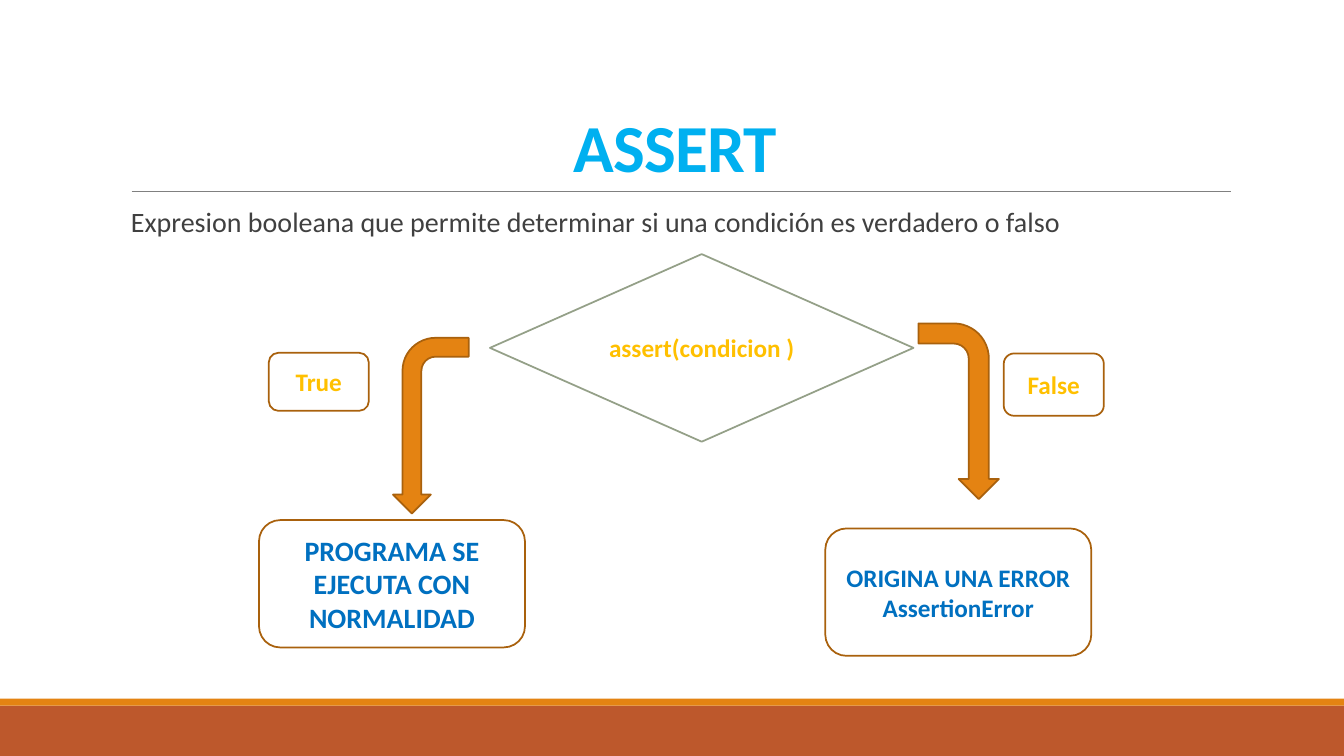
import pptx
import pptx.util
import pptx.dml.color
import pptx.enum.shapes
import pptx.enum.text
import pptx.oxml.ns
import lxml.etree

Pt = pptx.util.Pt
SHAPE = pptx.enum.shapes.MSO_SHAPE
ANCHOR = pptx.enum.text.MSO_ANCHOR
ALIGN = pptx.enum.text.PP_ALIGN

WIDTH, HEIGHT = 960, 540
ORANGE, BROWN = "E48312", "A9610D"
YELLOW, BLUE = "FFC000", "0070C0"

TITLE = "ASSERT"
DEFINITION = "Expresion booleana que permite determinar si una condición es verdadero o falso"
BANDS = [(504, 36, "BD582C"), (499, 5, ORANGE)]
BOXES = [
    ("assert(condicion )", SHAPE.FLOWCHART_DECISION, (350, 181.5, 302.5, 134), "94A088", 18, YELLOW),
    ("PROGRAMA SE EJECUTA CON NORMALIDAD", SHAPE.ROUNDED_RECTANGLE, (185, 371.5, 190, 91), BROWN, 20, BLUE),
    ("ORIGINA UNA ERROR AssertionError", SHAPE.ROUNDED_RECTANGLE, (589.5, 377.5, 190, 91), BROWN, 18, BLUE),
    ("True", SHAPE.ROUNDED_RECTANGLE, (192, 252, 71.5, 41.5), BROWN, 18, YELLOW),
    ("False", SHAPE.ROUNDED_RECTANGLE, (717, 252.5, 71.5, 44.5), BROWN, 18, YELLOW),
]
ARROWS = [((622, 265, 125.5, 57.5), False), ((245, 277, 125.5, 54), True)]


def color(value):
    return pptx.dml.color.RGBColor.from_string(value)


def add_shape(kind, box, fill=None, line=None):
    shape = slide.shapes.add_shape(kind, *map(Pt, box))
    shape.shadow.inherit = False
    if fill:
        shape.fill.solid()
        shape.fill.fore_color.rgb = color(fill)
    else:
        shape.fill.background()
    if line:
        shape.line.color.rgb = color(line)
        shape.line.width = Pt(1.25)
    else:
        shape.line.fill.background()
    return shape


def write(shape, text, size, ink, bold, anchor, align):
    frame = shape.text_frame
    frame.word_wrap = True
    frame.vertical_anchor = anchor
    frame.text = text
    paragraph = frame.paragraphs[0]
    paragraph.alignment = align
    font = paragraph.runs[0].font
    font.name, font.size, font.bold = "Calibri", Pt(size), bold
    font.color.rgb = color(ink)
    return paragraph


presentation = pptx.Presentation()
presentation.slide_width, presentation.slide_height = Pt(WIDTH), Pt(HEIGHT)
slide = presentation.slides.add_slide(presentation.slide_layouts[6])

for top, height, fill in BANDS:
    add_shape(SHAPE.RECTANGLE, (0, top, WIDTH, height), fill)

rule = slide.shapes.add_connector(
    pptx.enum.shapes.MSO_CONNECTOR.STRAIGHT, Pt(94), Pt(136.8), Pt(879), Pt(136.8))
rule.line.color.rgb = color("808080")
rule.line.width = Pt(0.5)
lxml.etree.SubElement(rule._element.spPr, pptx.oxml.ns.qn("a:effectLst"))

title = slide.shapes.add_textbox(Pt(86.4), Pt(22.5), Pt(792), Pt(114.3))
paragraph = write(title, TITLE, 48, "00B0F0", True, ANCHOR.BOTTOM, ALIGN.CENTER)
paragraph.line_spacing = 0.85
paragraph.runs[0].font._element.set("spc", "-50")

definition = slide.shapes.add_textbox(Pt(86.4), Pt(145.4), Pt(792), Pt(316.8))
paragraph = write(definition, DEFINITION, 20, "404040", False, ANCHOR.TOP, ALIGN.LEFT)
paragraph.line_spacing = 0.9
paragraph.space_before, paragraph.space_after = Pt(12), Pt(2)

for text, kind, box, line, size, ink in BOXES:
    shape = add_shape(kind, box, line=line)
    write(shape, text, size, ink, True, ANCHOR.MIDDLE, ALIGN.CENTER)

for box, flipped in ARROWS:
    arrow = add_shape(SHAPE.BENT_ARROW, box, ORANGE, BROWN)
    arrow.rotation = 90
    if flipped:
        arrow._element.spPr.xfrm.set("flipV", "1")

presentation.save("out.pptx")
